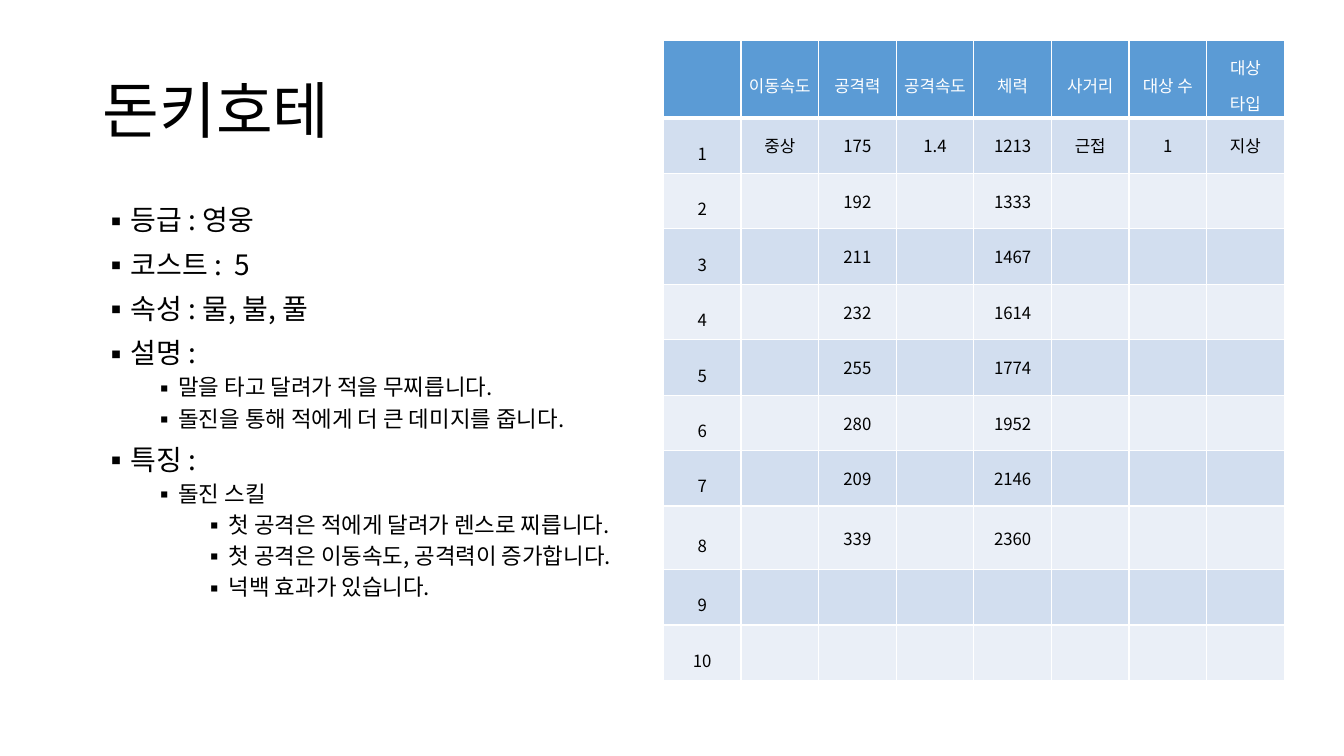
from lxml import etree
from pptx import Presentation
from pptx.dml.color import RGBColor
from pptx.enum.text import MSO_ANCHOR, MSO_AUTO_SIZE, PP_ALIGN
from pptx.oxml import ns
from pptx.util import Inches, Pt

# Content
FONT = "Noto Sans CJK KR"
TITLE = "돈키호테"
DETAILS = [  # (level, text)
    (0, "등급 : 영웅"),
    (0, "코스트 :  5"),
    (0, "속성 : 물, 불, 풀"),
    (0, "설명 :"),
    (1, "말을 타고 달려가 적을 무찌릅니다."),
    (1, "돌진을 통해 적에게 더 큰 데미지를 줍니다."),
    (0, "특징 :"),
    (1, "돌진 스킬"),
    (2, "첫 공격은 적에게 달려가 렌스로 찌릅니다."),
    (2, "첫 공격은 이동속도, 공격력이 증가합니다."),
    (2, "넉백 효과가 있습니다."),
]
HEADERS = ["", "이동속도", "공격력", "공격속도", "체력", "사거리", "대상 수", "대상 타입"]
ATTACK = ["175", "192", "211", "232", "255", "280", "209", "339", "", ""]
HEALTH = ["1213", "1333", "1467", "1614", "1774", "1952", "2146", "2360", "", ""]
FIRST_LEVEL = ["1", "중상", ATTACK[0], "1.4", HEALTH[0], "근접", "1", "지상"]
LEVELS = [FIRST_LEVEL] + [
    [str(level), "", attack, "", health, "", "", ""]
    for level, (attack, health) in enumerate(zip(ATTACK[1:], HEALTH[1:]), 2)
]
HEADER_FILL, BAND_FILLS = "5B9BD5", ("D2DEEF", "EAEFF7")
ROW_HEIGHTS = [0.77] + [0.55] * 7 + [0.63] + [0.55] * 2
COLUMN_WIDTH = 0.77


def color(value):
    return RGBColor.from_string(value)


def add_element(parent, tag, **attributes):
    return etree.SubElement(parent, ns.qn(tag), attributes)


def style_paragraph(paragraph, size, hex_color, line_spacing, alignment):
    font = paragraph.font
    font.name, font.size, font.bold = FONT, Pt(size), False
    font.color.rgb = color(hex_color)
    properties = paragraph._p.get_or_add_pPr().find(ns.qn("a:defRPr"))
    east_asian = add_element(properties, "a:ea", typeface=FONT)
    properties.find(ns.qn("a:latin")).addnext(east_asian)
    paragraph.line_spacing = line_spacing
    paragraph.alignment = alignment


def add_bullet(paragraph, level):
    properties = paragraph._p.get_or_add_pPr()
    properties.set("marL", str(Inches(0.25 + 0.5 * level)))
    properties.set("indent", str(Inches(-0.25)))
    bullet_font = add_element(properties, "a:buFont", typeface=FONT)
    bullet = add_element(properties, "a:buChar", char="▪")
    default_font = properties.find(ns.qn("a:defRPr"))
    default_font.addprevious(bullet_font)
    default_font.addprevious(bullet)


def set_borders(cell, row):
    properties = cell._tc.get_or_add_tcPr()
    widths = {"L": 1, "R": 1, "T": 3 if row == 1 else 1, "B": 3 if row == 0 else 1}
    for position, (side, width) in enumerate(widths.items()):
        line = add_element(properties, f"a:ln{side}", w=str(Pt(width)))
        add_element(add_element(line, "a:solidFill"), "a:srgbClr", val="FFFFFF")
        properties.insert(position, line)


def place(shape, left, top, width, height):
    shape.left, shape.top = Inches(left), Inches(top)
    shape.width, shape.height = Inches(width), Inches(height)


presentation = Presentation()
presentation.slide_width, presentation.slide_height = Inches(13.33), Inches(7.5)
slide = presentation.slides.add_slide(presentation.slide_layouts[1])

# Title
title = slide.shapes.title
place(title, 0.92, 0.4, 11.5, 1.45)
title.text_frame.text = TITLE
title.text_frame.vertical_anchor = MSO_ANCHOR.MIDDLE
style_paragraph(title.text_frame.paragraphs[0], 44, "000000", 0.9, PP_ALIGN.LEFT)

# Character details
body = slide.placeholders[1]
place(body, 0.92, 2, 5.67, 4.76)
body.text_frame.text = "\n".join(line for _, line in DETAILS)
body.text_frame.auto_size = MSO_AUTO_SIZE.NONE
for paragraph, (level, _) in zip(body.text_frame.paragraphs, DETAILS):
    paragraph.level = level
    style_paragraph(paragraph, 16 if level else 20, "000000", 0.9, PP_ALIGN.LEFT)
    paragraph.space_before = Pt(5 if level else 10)
    add_bullet(paragraph, level)

# Stats by level
rows = [HEADERS] + LEVELS
table = slide.shapes.add_table(
    len(rows), len(HEADERS), Inches(6.58), Inches(0.4),
    Inches(COLUMN_WIDTH * len(HEADERS)), Inches(sum(ROW_HEIGHTS)),
).table
for column in table.columns:
    column.width = Inches(COLUMN_WIDTH)
for table_row, height in zip(table.rows, ROW_HEIGHTS):
    table_row.height = Inches(height)

for row, values in enumerate(rows):
    for column, value in enumerate(values):
        cell = table.cell(row, column)
        cell.fill.solid()
        cell.fill.fore_color.rgb = color(BAND_FILLS[(row - 1) % 2] if row else HEADER_FILL)
        set_borders(cell, row)
        if not value:
            continue
        cell.text = value
        cell.vertical_anchor = MSO_ANCHOR.MIDDLE
        is_label = row == 0 or column == 0
        side, edge = (0.06, 0.02) if is_label else (0.09, 0.05)
        cell.margin_left = cell.margin_right = Inches(side)
        cell.margin_top = cell.margin_bottom = Inches(edge)
        spacing = 1.5 if row == 0 else 1.6 if column == 0 else 1.0
        style_paragraph(cell.text_frame.paragraphs[0], 12,
                        "000000" if row else "FFFFFF", spacing, PP_ALIGN.CENTER)

presentation.save("out.pptx")
